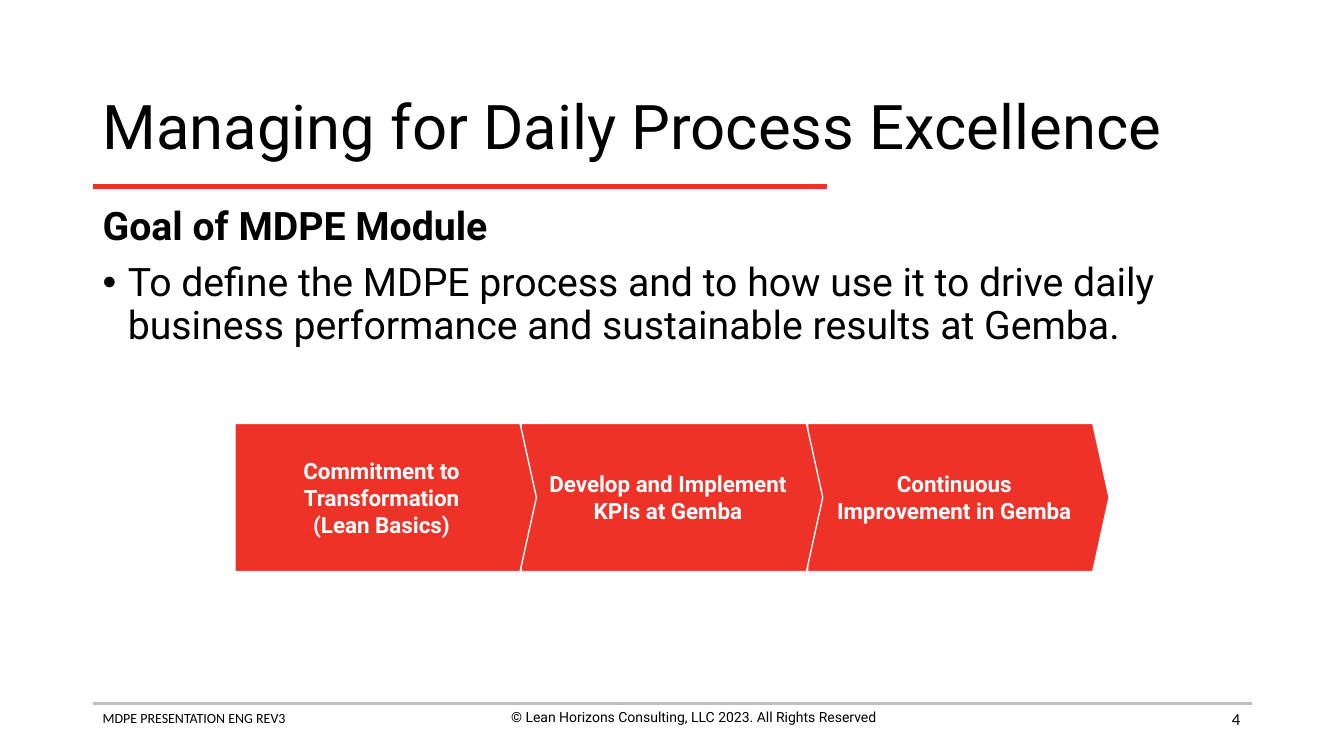
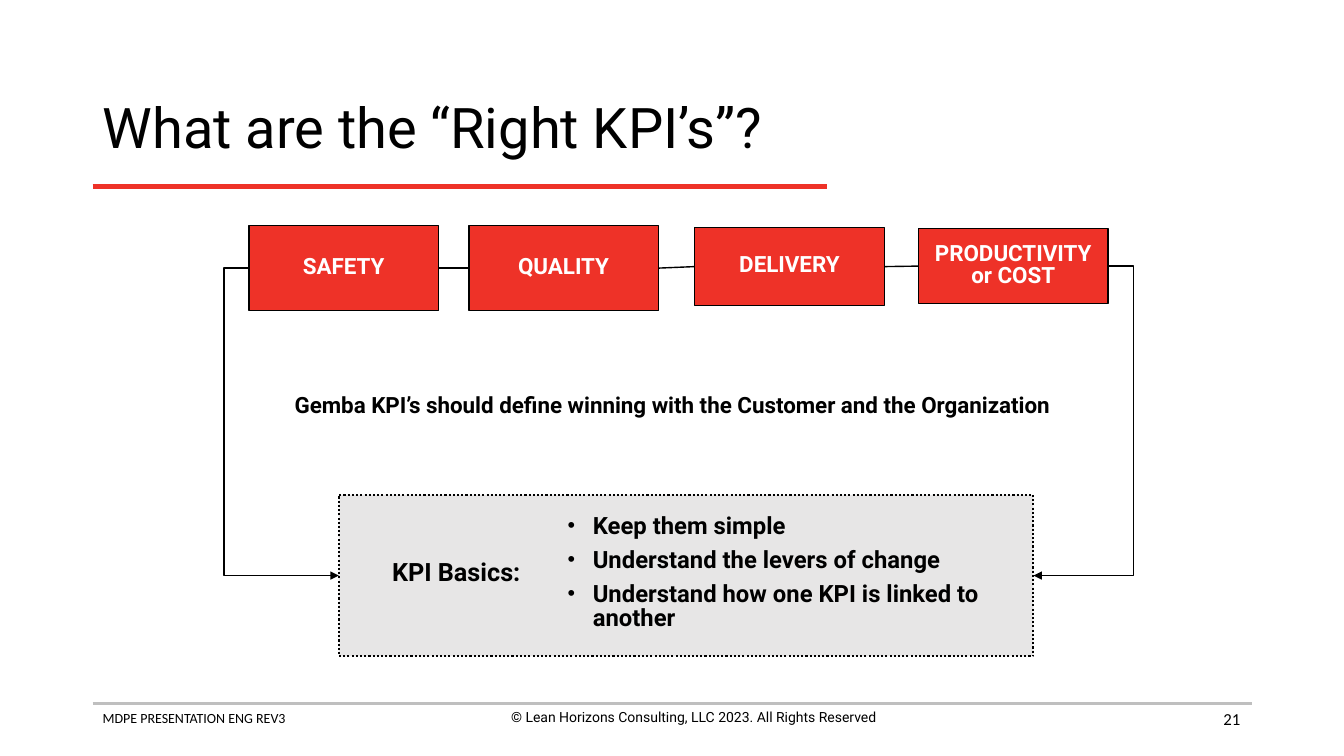
import pptx
import pptx.dml.color
import pptx.enum.dml
import pptx.enum.shapes
import pptx.enum.text
import pptx.oxml.ns
import pptx.util
from lxml import etree

Inches = pptx.util.Inches
Pt = pptx.util.Pt
qn = pptx.oxml.ns.qn
SHAPE = pptx.enum.shapes.MSO_SHAPE
CONNECTOR = pptx.enum.shapes.MSO_CONNECTOR
DASH = pptx.enum.dml.MSO_LINE
ANCHOR = pptx.enum.text.MSO_ANCHOR
ALIGN = pptx.enum.text.PP_ALIGN

RED, BLACK, WHITE = "EE3228", "000000", "FFFFFF"
PANEL_GREY, RULE_GREY = "E7E6E6", "BFBFBF"
LEFT, RIGHT = 1, 3  # connection sites


def rgb(value):
    return pptx.dml.color.RGBColor.from_string(value)


def add_bullet(p, percent):
    pPr = p._p.get_or_add_pPr()
    pPr.set("marL", str(Inches(0.25)))
    pPr.set("indent", str(-Inches(0.25)))
    etree.SubElement(pPr, qn("a:buSzPct"), val=str(percent * 1000))
    etree.SubElement(pPr, qn("a:buFont"), typeface="Arial")
    etree.SubElement(pPr, qn("a:buChar"), char="•")


def write(tf, text, size=16, bold=False, color=BLACK, font="Roboto",
          align=ALIGN.LEFT, spacing=None, before=0, after=0, bullet=None):
    """Add one paragraph; the first one reuses the empty paragraph."""
    first = not tf.paragraphs[0].runs
    p = tf.paragraphs[0] if first else tf.add_paragraph()
    if bullet:
        add_bullet(p, bullet)
    p.alignment = align
    p.line_spacing = spacing
    p.space_before = Pt(0 if first else before)
    p.space_after = Pt(after)
    for i, line in enumerate(text.split("\n")):
        if i:
            p.add_line_break()
        r = p.add_run()
        r.text = line
        r.font.name, r.font.size, r.font.bold = font, Pt(size), bold
        r.font.color.rgb = rgb(color)


class Deck:
    def __init__(self):
        self.prs = pptx.Presentation()
        self.prs.slide_width, self.prs.slide_height = Inches(13.33), Inches(7.5)
        self.s = None

    def slide(self, title, number, title_size):
        self.s = self.prs.slides.add_slide(self.prs.slide_layouts[6])
        # Footer
        self.line((0.92, 6.98), (12.42, 6.98), RULE_GREY, 2)
        write(self.box(0.92, 6.99, 4.56, 0.44), "MDPE PRESENTATION ENG REV3",
              size=10, font="Calibri")
        write(self.box(4.6, 6.98, 4.56, 0.44),
              "© Lean Horizons Consulting, LLC 2023. All Rights Reserved",
              size=10, align=ALIGN.CENTER)
        write(self.box(9.4, 6.93, 3, 0.4, ANCHOR.MIDDLE), str(number),
              size=12, font="Calibri", align=ALIGN.RIGHT)
        # Title
        self.line((0.92, 1.85), (8.2, 1.85), RED, 3)
        write(self.box(0.92, 0.74, 11.5, 1.1, ANCHOR.MIDDLE), title,
              size=title_size, spacing=0.9)

    def box(self, x, y, w, h, anchor=ANCHOR.TOP):
        sp = self.s.shapes.add_textbox(Inches(x), Inches(y), Inches(w), Inches(h))
        tf = sp.text_frame
        tf.word_wrap, tf.vertical_anchor = True, anchor
        return tf

    def shape(self, kind, x, y, w, h, fill=RED, line=BLACK, width=1, dash=None):
        sp = self.s.shapes.add_shape(kind, Inches(x), Inches(y), Inches(w), Inches(h))
        sp.shadow.inherit = False
        sp.fill.solid()
        sp.fill.fore_color.rgb = rgb(fill)
        sp.line.color.rgb = rgb(line)
        sp.line.width = Pt(width)
        if dash:
            sp.line.dash_style = dash
        sp.text_frame.word_wrap = True
        sp.text_frame.vertical_anchor = ANCHOR.MIDDLE
        return sp

    def line(self, start, end, color=BLACK, width=1, kind=CONNECTOR.STRAIGHT):
        c = self.s.shapes.add_connector(kind, *map(Inches, start + end))
        c.line.color.rgb = rgb(color)
        c.line.width = Pt(width)
        etree.SubElement(c._element.spPr, qn("a:effectLst"))
        return c

    def join(self, a, b):
        c = self.line((0, 0), (1, 1))
        c.begin_connect(a, RIGHT)
        c.end_connect(b, LEFT)

    def loop_arrow(self, start, end, overhang):
        """Elbow arrow that first runs outward by the overhang."""
        c = self.line(start, end, kind=CONNECTOR.ELBOW)
        bend = round(-overhang / abs(end[0] - start[0]) * 100000)
        geom = c._element.spPr.find(qn("a:prstGeom"))
        av = geom.find(qn("a:avLst"))
        if av is None:
            av = etree.SubElement(geom, qn("a:avLst"))
        etree.SubElement(av, qn("a:gd"), name="adj1", fmla=f"val {bend}")
        ln = c._element.spPr.find(qn("a:ln"))
        etree.SubElement(ln, qn("a:tailEnd"), type="triangle")


def goal_slide(deck):
    deck.slide("Managing for Daily Process Excellence", 4, 44)
    tf = deck.box(0.92, 2, 11.5, 1.6)
    write(tf, "Goal of MDPE Module", size=28, bold=True, spacing=0.9)
    write(tf, "To define the MDPE process and to how use it to drive daily business "
          "performance and sustainable results at Gemba.",
          size=28, spacing=0.9, before=10, bullet=100)

    # Process steps, the leftmost on top
    steps = ["Commitment to Transformation\n(Lean Basics)",
             "Develop and Implement KPIs at Gemba",
             "Continuous\nImprovement in Gemba"]
    for i, step in reversed(list(enumerate(steps))):
        sp = deck.shape(SHAPE.PENTAGON, 2.33 + 2.84 * i, 4.2, 2.99, 1.47, line=WHITE)
        sp.adjustments[0] = 0.11
        write(sp.text_frame, step, bold=True, color=WHITE, align=ALIGN.CENTER)


def kpi_slide(deck):
    deck.slide("What are the “Right KPI’s”?", 21, 40)
    deck.shape(SHAPE.RECTANGLE, 3.36, 4.91, 6.89, 1.6, fill=PANEL_GREY,
               width=1.5, dash=DASH.ROUND_DOT)

    # KPI boxes and the lines between them
    kpis = [("SAFETY", 2.47, 2.24, 0.84), ("QUALITY", 4.65, 2.24, 0.84),
            ("DELIVERY", 6.89, 2.26, 0.77), ("PRODUCTIVITY or COST", 9.11, 2.27, 0.74)]
    boxes = []
    for name, x, y, h in kpis:
        sp = deck.shape(SHAPE.RECTANGLE, x, y, 1.88, h)
        write(sp.text_frame, name, bold=True, color=WHITE, align=ALIGN.CENTER,
              spacing=0.8)
        boxes.append(sp)
    for a, b in zip(boxes, boxes[1:]):
        deck.join(a, b)

    # Arrows round to the panel
    deck.loop_arrow((2.47, 2.66), (3.36, 5.71), 0.25)
    deck.loop_arrow((10.99, 2.64), (10.25, 5.71), 0.25)

    # Panel text and message
    tf = deck.box(5.55, 5.07, 4.27, 1.27)
    tf.margin_left = tf.margin_right = Inches(0.08)
    tf.margin_top = tf.margin_bottom = Inches(0.04)
    for point in ("Keep them simple", "Understand the levers of change",
                  "Understand how one KPI is linked to another"):
        write(tf, point, size=17, bold=True, spacing=0.85, before=3.4, after=3.4,
              bullet=90)
    write(deck.box(3.57, 5.53, 1.91, 0.35), "KPI Basics:", size=18, bold=True,
          align=ALIGN.CENTER, spacing=0.8)
    write(deck.box(2.04, 3.88, 9.26, 0.31),
          "Gemba KPI’s should define winning with the Customer and the Organization",
          bold=True, align=ALIGN.CENTER, spacing=0.8)


def main():
    deck = Deck()
    goal_slide(deck)
    kpi_slide(deck)
    deck.prs.save("out.pptx")


if __name__ == "__main__":
    main()
